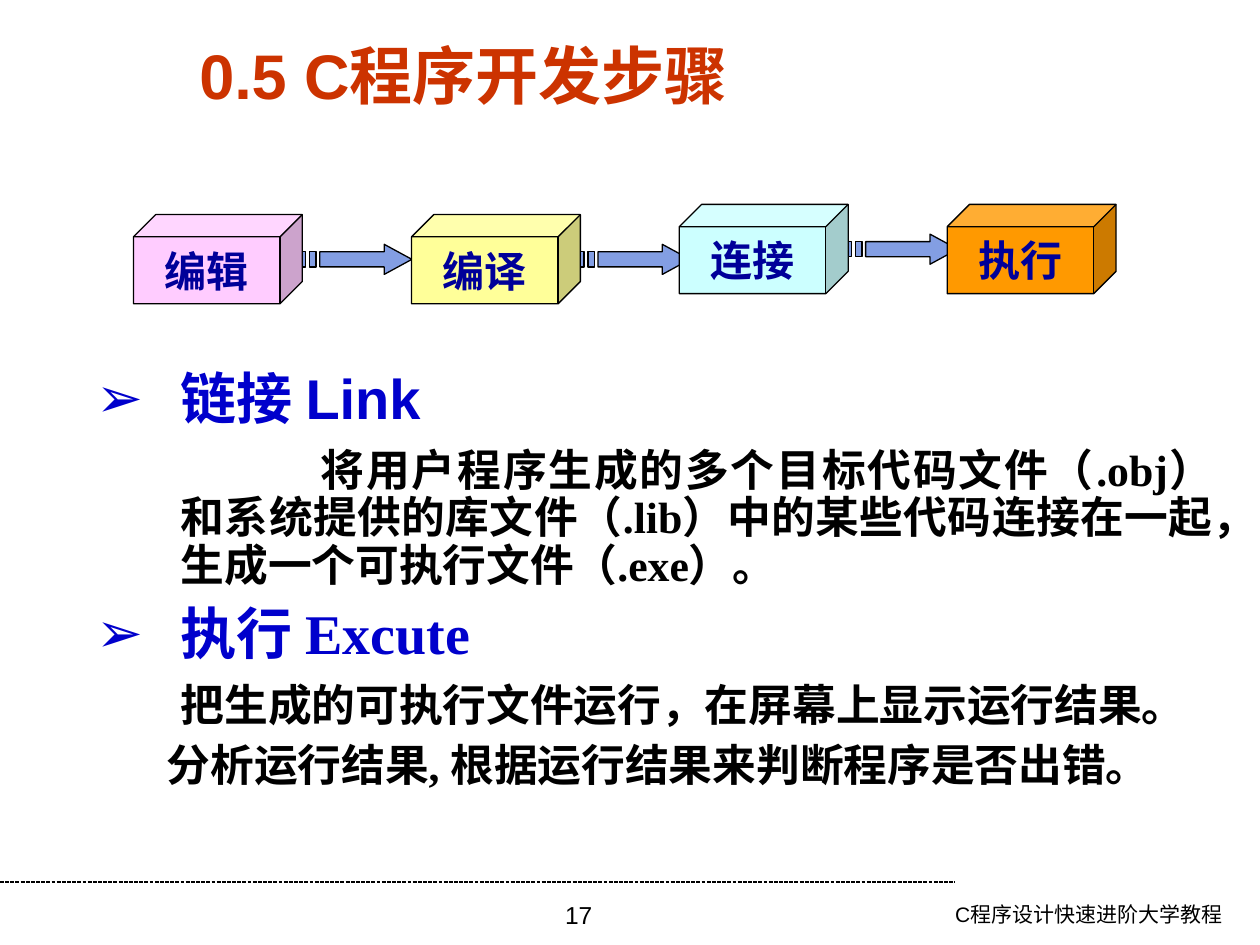
from lxml import etree
from pptx import Presentation
from pptx.dml.color import RGBColor
from pptx.enum import dml, shapes, text
from pptx.oxml.ns import qn
from pptx.util import Pt

BLACK, LINK_BLUE = "000000", "0000CC"
CUBE_SIZE = (96.5, 51)
STEPS = [  # name, fill, left, top relative to the flow
    ("编辑", "FFCCFF", 0, 5.8),
    ("编译", "FFFF99", 158.9, 5.8),
    ("连接", "CCFFFF", 311.9, 0),
    ("执行", "FF9900", 465, 0),
]
SHAFT_TOP, SHAFT_BOTTOM, ARROW_HEIGHT = 4.3, 12.9, 17.2
STRIPES = [(0, 2), (4.3, 7.9)]  # left and right edges
ARROW_OUTLINE = [(46.8, 0), (46.8, SHAFT_TOP), (10, SHAFT_TOP), (10, SHAFT_BOTTOM),
                 (46.8, SHAFT_BOTTOM), (46.8, ARROW_HEIGHT), (62.6, ARROW_HEIGHT / 2)]
HEADING = dict(size=32, color=LINK_BLUE, indent=-48, before=9, bullet="➢")
DETAIL = dict(size=25, color=BLACK, before=9.6)
NOTES = [
    ("链接 Link", {**HEADING, "font": "Arial", "before": 0}),
    ("将用户程序生成的多个目标代码文件（.obj）和系统提供的库文件（.lib）"
     "中的某些代码连接在一起，生成一个可执行文件（.exe）。", {**DETAIL, "indent": 80}),
    ("执行 Excute", HEADING),
    ("把生成的可执行文件运行，在屏幕上显示运行结果。", {**DETAIL, "indent": 0}),
    ("分析运行结果, 根据运行结果来判断程序是否出错。",
     {**DETAIL, "indent": -8, "before": 7.2}),
]


def rgb(value):
    return RGBColor.from_string(value)


def write(paragraph, words, size, color, font, bold=False):
    run = paragraph.add_run()
    run.text = words
    for name, value in dict(size=Pt(size), name=font, bold=bold).items():
        setattr(run.font, name, value)
    run.font.color.rgb = rgb(color)


def set_frame(frame, inset_x=7.2, inset_y=3.6, **settings):
    formats = dict(margin_left=Pt(inset_x), margin_right=Pt(inset_x),
                   margin_top=Pt(inset_y), margin_bottom=Pt(inset_y),
                   word_wrap=True, auto_size=text.MSO_AUTO_SIZE.NONE)
    for name, value in {**formats, **settings}.items():
        setattr(frame, name, value)


def paint(shape, fill):
    shape.shadow.inherit = False
    shape.fill.solid()
    shape.fill.fore_color.rgb = rgb(fill)
    shape.line.color.rgb = rgb(BLACK)
    shape.line.width = Pt(0.75)


def place_title(slide, left, top, width, height):
    title = slide.shapes.title
    for name, value in dict(left=left, top=top, width=width, height=height).items():
        setattr(title, name, Pt(value))
    set_frame(title.text_frame, vertical_anchor=text.MSO_ANCHOR.MIDDLE)
    heading = title.text_frame.paragraphs[0]
    heading.alignment = text.PP_ALIGN.CENTER
    write(heading, "0.5 C程序开发步骤", 36, "CC3300", "Arial", True)


def add_striped_arrow(slide, left, top):
    stripes = [[(x1, SHAFT_TOP), (x1, SHAFT_BOTTOM), (x2, SHAFT_BOTTOM), (x2, SHAFT_TOP)]
               for x1, x2 in STRIPES]
    builder = None
    for outline in [ARROW_OUTLINE, *stripes]:
        start, *others = [(Pt(left + x), Pt(top + y)) for x, y in outline]
        if builder is None:
            builder = slide.shapes.build_freeform(*start)
        else:
            builder.move_to(*start)
        builder.add_line_segments(others, close=True)
    paint(builder.convert_to_shape(), "839EE3")


def add_flow(slide, left, top):
    """Cubes for the steps; each arrow starts at a cube's right side."""
    for step, (name, fill, dx, dy) in enumerate(STEPS, 1):
        x, y = left + dx, top + dy
        cube = slide.shapes.add_shape(shapes.MSO_SHAPE.CUBE, *map(Pt, (x, y, *CUBE_SIZE)))
        paint(cube, fill)
        cube.adjustments[0] = 0.25
        set_frame(cube.text_frame, word_wrap=False,
                  vertical_anchor=text.MSO_ANCHOR.MIDDLE)
        label = cube.text_frame.paragraphs[0]
        label.alignment = text.PP_ALIGN.CENTER
        write(label, name, 24, "000099", "DejaVu Sans", True)
        if step < len(STEPS):
            add_striped_arrow(slide, x + CUBE_SIZE[0], y + 17)


def add_bullet(paragraph, mark, color):
    properties = paragraph._p.get_or_add_pPr()
    bullet_color = etree.SubElement(properties, qn("a:buClr"))
    etree.SubElement(bullet_color, qn("a:srgbClr"), val=color)
    etree.SubElement(properties, qn("a:buFont"), typeface="DejaVu Sans")
    etree.SubElement(properties, qn("a:buChar"), char=mark)


def add_notes(slide, left, top, width, height):
    frame = slide.shapes.add_textbox(*map(Pt, (left, top, width, height))).text_frame
    set_frame(frame, inset_y=0)
    for number, (words, style) in enumerate(NOTES):
        paragraph = frame.add_paragraph() if number else frame.paragraphs[0]
        if "bullet" in style:
            add_bullet(paragraph, style["bullet"], style["color"])
        properties = paragraph._p.get_or_add_pPr()
        properties.set("marL", str(Pt(48)))
        properties.set("indent", str(Pt(style["indent"])))
        paragraph.alignment = text.PP_ALIGN.JUSTIFY
        paragraph.line_spacing = 0.9
        paragraph.space_before = Pt(style["before"])
        write(paragraph, words, style["size"], style["color"],
              style.get("font", "Times New Roman"), True)


def add_footer(slide, left, top):
    rule = slide.shapes.add_connector(shapes.MSO_CONNECTOR.STRAIGHT,
                                      *map(Pt, (left, top, left + 545.8, top)))
    rule.line.color.rgb = rgb(BLACK)
    rule.line.width = Pt(0.75)
    rule.line.dash_style = dml.MSO_LINE.SQUARE_DOT
    etree.SubElement(rule._element.spPr, qn("a:effectLst"))
    for words, size, align, dx, dy, width in (
            ("C程序设计快速进阶大学教程", 12, text.PP_ALIGN.RIGHT, 473, 7.5, 232.6),
            ("17", 14, text.PP_ALIGN.CENTER, 246.8, 6.5, 167.8)):
        box = slide.shapes.add_textbox(*map(Pt, (left + dx, top + dy, width, 29)))
        set_frame(box.text_frame)
        line = box.text_frame.paragraphs[0]
        line.alignment = align
        write(line, words, size, BLACK, "Arial")


def main():
    deck = Presentation()
    deck.slide_width, deck.slide_height = Pt(720), Pt(540)
    slide = deck.slides.add_slide(deck.slide_layouts.get_by_name("Title Only"))
    place_title(slide, 60.9, 20.2, 408, 44.6)
    add_flow(slide, 76.3, 116.8)
    add_notes(slide, 48.2, 212.3, 652.3, 288)
    add_footer(slide, 0, 504)
    deck.save("out.pptx")


if __name__ == "__main__":
    main()
